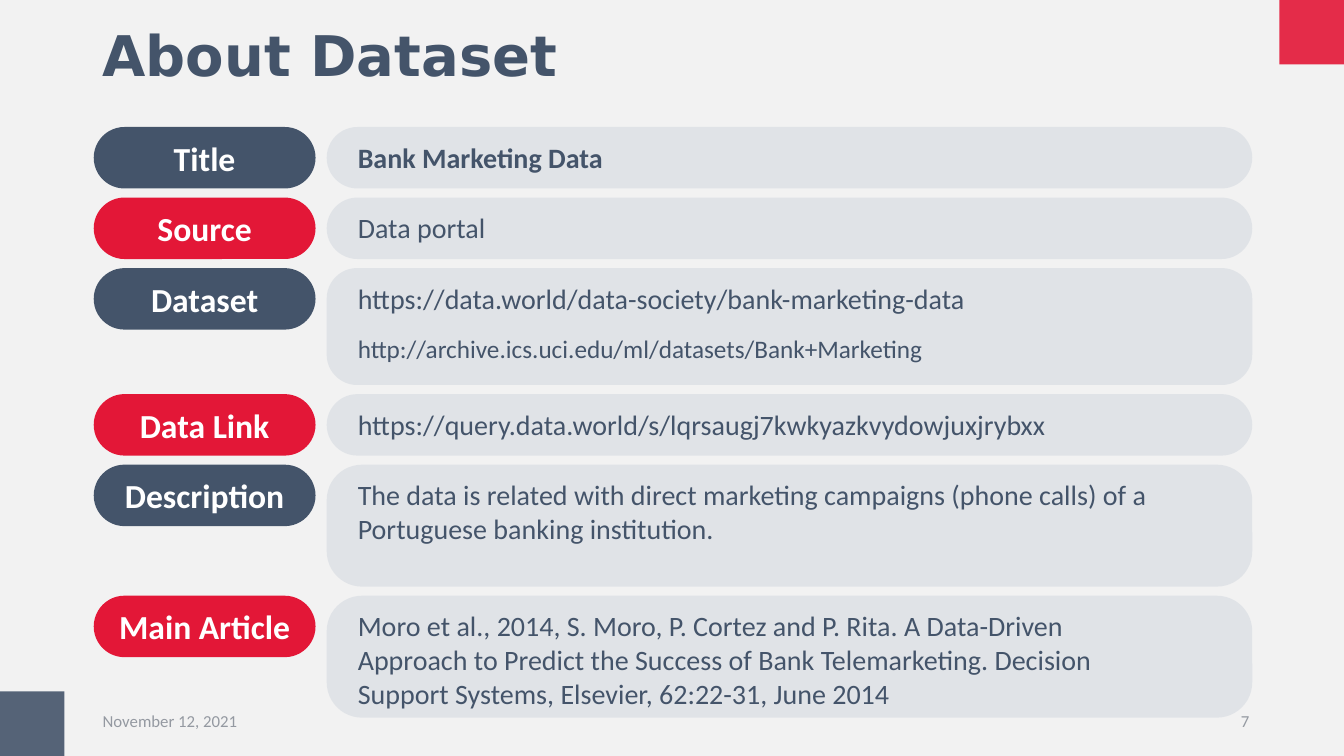
"""Build the "About Dataset" slide: labelled rows of facts about a data set."""
from lxml import etree
from pptx import Presentation
from pptx.dml.color import RGBColor
from pptx.enum import shapes, text
from pptx.oxml import ns
from pptx.util import Inches, Pt

COLORS = {
    "background": "F2F2F2",
    "navy": "44546A",
    "red": "E31737",
    "panel": "ADB9CA",
    "white": "FFFFFF",
    "footer": "9499A1",
}
TITLE = "About Dataset"
DATE = "November 12, 2021"
PAGE = "7"
ROWS = [
    {"label": "Title", "height": 0.61, "corner": 0.5, "bold": True,
     "lines": [("Bank Marketing Data", 20)]},
    {"label": "Source", "height": 0.61, "corner": 0.5,
     "lines": [("Data portal", 20)]},
    {"label": "Dataset", "height": 1.16, "corner": 0.26,
     "lines": [("https://data.world/data-society/bank-marketing-data", 20),
               ("http://archive.ics.uci.edu/ml/datasets/Bank+Marketing", 18)]},
    {"label": "Data Link", "height": 0.61, "corner": 0.5,
     "lines": [("https://query.data.world/s/lqrsaugj7kwkyazkvydowjuxjrybxx", 20)]},
    {"label": "Description", "height": 1.21, "corner": 0.29,
     "lines": [("The data is related with direct marketing campaigns (phone calls) "
                "of a Portuguese banking institution.", 20)]},
    {"label": "Main Article", "height": 1.21, "corner": 0.29,
     "lines": [("Moro et al., 2014, S. Moro, P. Cortez and P. Rita. A Data-Driven "
                "Approach to Predict the Success of Bank Telemarketing. Decision "
                "Support Systems, Elsevier, 62:22-31, June 2014", 20)]},
]
SLIDE_WIDTH, SLIDE_HEIGHT = 13.33, 7.5
CORNER_SQUARE = 0.64
ROWS_TOP, ROW_GAP = 1.26, 0.09
LABEL_LEFT, LABEL_WIDTH, LABEL_HEIGHT = 0.93, 2.2, 0.61
PANEL_LEFT, PANEL_WIDTH = 3.24, 9.18
TEXT_LEFT, TEXT_WIDTH, TEXT_INSET = 3.45, 8.11, 0.08
LEFT, CENTER, RIGHT = text.PP_ALIGN.LEFT, text.PP_ALIGN.CENTER, text.PP_ALIGN.RIGHT
TOP, MIDDLE = text.MSO_ANCHOR.TOP, text.MSO_ANCHOR.MIDDLE


def rgb(name):
    return RGBColor.from_string(COLORS[name])


def add_block(slide, box, color, opacity=100, corner=None):
    kind = shapes.MSO_SHAPE.RECTANGLE if corner is None else shapes.MSO_SHAPE.ROUNDED_RECTANGLE
    shape = slide.shapes.add_shape(kind, *map(Inches, box))
    shape.shadow.inherit = False
    shape.line.fill.background()
    shape.fill.solid()
    shape.fill.fore_color.rgb = rgb(color)
    if corner is not None:
        shape.adjustments[0] = corner
    if opacity < 100:
        color_element = shape.fill._xPr.find(".//" + ns.qn("a:srgbClr"))
        etree.SubElement(color_element, ns.qn("a:alpha"), val=str(opacity * 1000))
    return shape


def write(shape, lines, color="navy", font="Calibri", bold=False, align=LEFT,
          anchor=MIDDLE, spacing=None):
    frame = shape.text_frame
    frame.word_wrap = True
    frame.vertical_anchor = anchor
    for index, (words, size) in enumerate(lines):
        paragraph = frame.add_paragraph() if index else frame.paragraphs[0]
        if index:
            paragraph.space_before = Pt(13)
        paragraph.alignment = align
        paragraph.line_spacing = spacing
        run = paragraph.add_run()
        run.text = words
        run.font.name = font
        run.font.size = Pt(size)
        run.font.bold = bold
        run.font.color.rgb = rgb(color)


def add_text(slide, box, lines, **style):
    write(slide.shapes.add_textbox(*map(Inches, box)), lines, **style)


def add_rows(slide):
    top = ROWS_TOP
    for index, row in enumerate(ROWS):
        height = row["height"]
        add_block(slide, (PANEL_LEFT, top, PANEL_WIDTH, height), "panel",
                  opacity=25, corner=row["corner"])
        label = add_block(slide, (LABEL_LEFT, top, LABEL_WIDTH, LABEL_HEIGHT),
                          ("navy", "red")[index % 2], corner=0.5)
        write(label, [(row["label"], 24)], color="white", bold=True, align=CENTER)
        add_text(slide, (TEXT_LEFT, top + TEXT_INSET, TEXT_WIDTH, height - 2 * TEXT_INSET),
                 row["lines"], bold=row.get("bold", False), anchor=TOP)
        top += height + ROW_GAP


def main():
    presentation = Presentation()
    presentation.slide_width = Inches(SLIDE_WIDTH)
    presentation.slide_height = Inches(SLIDE_HEIGHT)
    slide = presentation.slides.add_slide(presentation.slide_layouts[6])
    slide.background.fill.solid()
    slide.background.fill.fore_color.rgb = rgb("background")

    square = (CORNER_SQUARE, CORNER_SQUARE)
    add_block(slide, (SLIDE_WIDTH - CORNER_SQUARE, 0, *square), "red", opacity=90)
    add_block(slide, (0, SLIDE_HEIGHT - CORNER_SQUARE, *square), "navy", opacity=90)
    add_text(slide, (0.92, 0.15, 11.5, 0.85), [(TITLE, 40)],
             font="DejaVu Sans", bold=True, spacing=0.9)
    add_rows(slide)
    add_text(slide, (0.92, 6.95, 3, 0.4), [(DATE, 12)], color="footer")
    add_text(slide, (9.49, 6.95, 3, 0.4), [(PAGE, 12)], color="footer", align=RIGHT)
    presentation.save("out.pptx")


if __name__ == "__main__":
    main()
